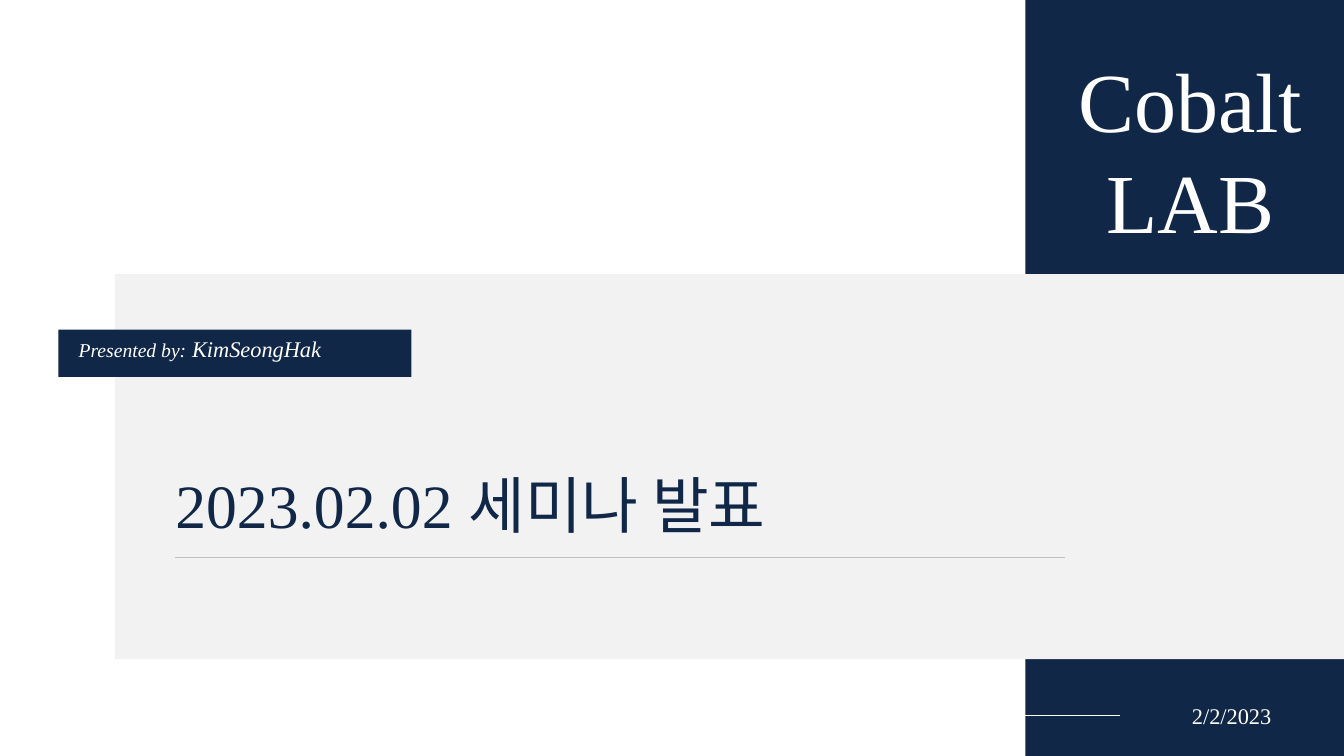
from dataclasses import dataclass

from lxml.etree import SubElement
from pptx import Presentation
from pptx.dml.color import RGBColor
from pptx.enum.shapes import MSO_CONNECTOR, MSO_SHAPE
from pptx.enum.text import MSO_ANCHOR as Anchor, MSO_AUTO_SIZE as AutoSize, PP_ALIGN as Align
from pptx.oxml.ns import qn
from pptx.util import Inches, Length, Pt

W, H = Inches(13.33), Inches(7.5)
FONT = "Times New Roman"
COLORS = {"navy": "102747", "panel": "F2F2F2", "rule": "BFBFBF", "white": "FFFFFF"}
SIDE_X, TITLE_X, TITLE_W = 76.3, 13.05, 66.17


@dataclass(frozen=True)
class Box:
    x: float
    y: float
    w: float
    h: float = 0

    def emu(self) -> tuple[int, int, int, int]:
        return across(self.x), down(self.y), across(self.w), down(self.h)


@dataclass(frozen=True)
class Bar:
    box: Box
    color: str


@dataclass(frozen=True)
class Rule:
    box: Box
    color: str


@dataclass(frozen=True)
class Label:
    box: Box
    runs: tuple[tuple[str, int], ...]
    color: str = "white"
    align: Align = Align.LEFT
    anchor: Anchor = Anchor.TOP
    fit: AutoSize = AutoSize.SHAPE_TO_FIT_TEXT
    inset: tuple[float, float] = (0, 0)
    italic: bool = False
    before: float = 0
    spacing: float = 1.0


BARS = (
    Bar(Box(SIDE_X, 0, 100 - SIDE_X, 100), "navy"),
    Bar(Box(8.55, 36.27, 91.45, 50.93), "panel"),
    Bar(Box(4.35, 43.6, 26.26, 6.27), "navy"),
)
RULES = (
    Rule(Box(TITLE_X, 73.73, TITLE_W), "rule"),
    Rule(Box(SIDE_X, 94.67, 7.05), "white"),
)
TITLE = Label(Box(TITLE_X, 61.73, TITLE_W, 9.87), (("2023.02.02 세미나 발표", 44),),
              color="navy", anchor=Anchor.BOTTOM)
LABELS = (
    Label(Box(72.09, 92, 22.51, 5.33), (("2/2/2023", 16),),
          align=Align.RIGHT, anchor=Anchor.MIDDLE, fit=AutoSize.NONE),
    Label(Box(5.85, 44.8, 22.96, 1.87), (("Presented by:", 14), (" KimSeongHak", 16)),
          italic=True, before=10, spacing=0.9),
    Label(Box(78.77, 5.73, 19.58, 28.27), (("Cobalt LAB", 60),),
          align=Align.CENTER, inset=(0.1, 0.05)),
)


def across(percent: float) -> Length:
    return Length(W * percent / 100)


def down(percent: float) -> Length:
    return Length(H * percent / 100)


def rgb(name: str) -> RGBColor:
    return RGBColor.from_string(COLORS[name])


def draw_bar(s, bar: Bar):
    sp = s.shapes.add_shape(MSO_SHAPE.RECTANGLE, *bar.box.emu())
    sp.shadow.inherit = False
    sp.fill.solid()
    sp.fill.fore_color.rgb = rgb(bar.color)
    sp.line.fill.background()
    return sp


def draw_rule(s, rule: Rule) -> None:
    x, y, w, h = rule.box.emu()
    cx = s.shapes.add_connector(MSO_CONNECTOR.STRAIGHT, x, y, x + w, y + h)
    cx.line.color.rgb = rgb(rule.color)
    cx.line.width = Pt(0.5)
    SubElement(cx.element.spPr, qn("a:effectLst"))


def write_label(sp, label: Label) -> None:
    sp.left, sp.top, sp.width, sp.height = label.box.emu()
    tf = sp.text_frame
    tf.word_wrap = True
    tf.auto_size = label.fit
    tf.vertical_anchor = label.anchor
    side, edge = label.inset
    tf.margin_left = tf.margin_right = Inches(side)
    tf.margin_top = tf.margin_bottom = Inches(edge)
    p = tf.paragraphs[0]
    p.alignment = label.align
    p.line_spacing = label.spacing
    p.space_before = Pt(label.before)
    for text, size in label.runs:
        r = p.add_run()
        r.text = text
        r.font.name = FONT
        r.font.size = Pt(size)
        r.font.italic = label.italic
        r.font.color.rgb = rgb(label.color)


def main() -> None:
    prs = Presentation()
    prs.slide_width, prs.slide_height = W, H
    s = prs.slides.add_slide(prs.slide_layouts[5])
    title = s.shapes.title
    for bar in BARS:
        sp = draw_bar(s, bar)
    sp.element.addnext(title.element)
    write_label(title, TITLE)
    for rule in RULES:
        draw_rule(s, rule)
    for label in LABELS:
        write_label(s.shapes.add_textbox(*label.box.emu()), label)
    prs.save("out.pptx")


if __name__ == "__main__":
    main()
